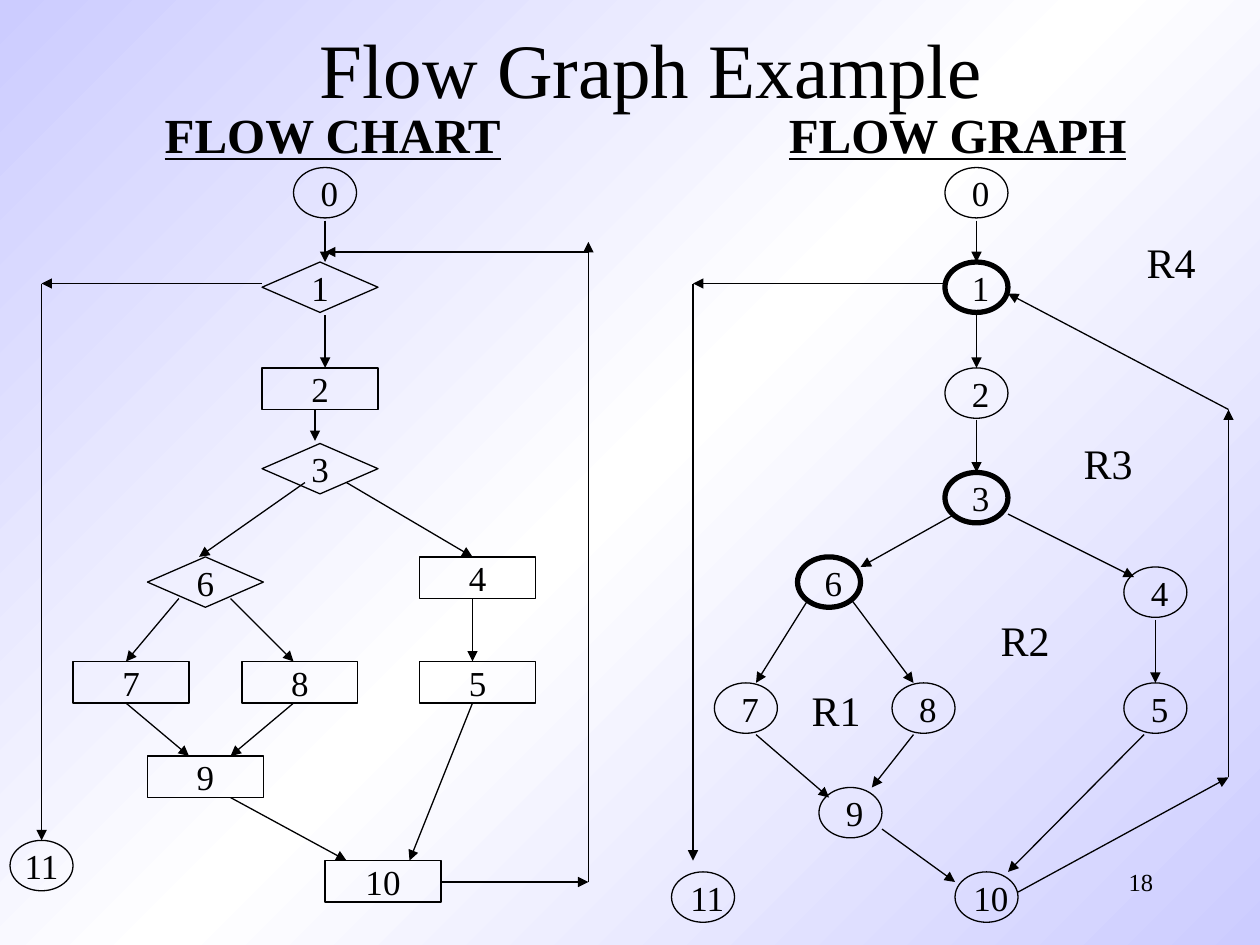
from copy import deepcopy
from dataclasses import dataclass
from itertools import pairwise

from pptx import Presentation
from pptx.dml.color import RGBColor
from pptx.enum.shapes import MSO_CONNECTOR as Connector, MSO_SHAPE as Shape
from pptx.enum.text import MSO_ANCHOR as Anchor, MSO_AUTO_SIZE as AutoSize, PP_ALIGN as Align
from pptx.oxml.ns import qn
from pptx.oxml.xmlchemy import OxmlElement
from pptx.util import Inches, Pt


@dataclass(frozen=True)
class Theme:
    font: str = "Times New Roman"
    ink: RGBColor = RGBColor(0, 0, 0)
    edge: RGBColor = RGBColor(0xCC, 0xCC, 0xFF)
    middle: RGBColor = RGBColor(0xFF, 0xFF, 0xFF)
    title: int = 44
    heading: int = 28
    region: int = 24
    node: int = 20
    page_number: int = 14
    thin: float = 0.75
    thick: float = 3


DECISION = (Shape.FLOWCHART_DECISION, 0.92, 0.4)
PROCESS = (Shape.RECTANGLE, 0.92, 0.33)
CIRCLE = (Shape.OVAL, 0.5, 0.4)

# Nodes: label, kind, left, top
CHART_NODES = [
    (" 0", CIRCLE, 2.33, 1.33),
    ("1", DECISION, 2.08, 2.08),
    ("2", PROCESS, 2.08, 2.92),
    ("3", DECISION, 2.08, 3.52),
    ("4", PROCESS, 3.33, 4.42),
    ("5", PROCESS, 3.33, 5.25),
    ("6", DECISION, 1.17, 4.42),
    ("7", PROCESS, 0.58, 5.25),
    ("8", PROCESS, 1.92, 5.25),
    ("9", PROCESS, 1.17, 6),
    ("10", PROCESS, 2.58, 6.83),
    ("11", CIRCLE, 0.08, 6.67),
]

# Graph nodes: left and top of nodes 0 to 11
GRAPH_NODES = [
    (7.5, 1.33), (7.5, 2.08), (7.5, 2.92), (7.5, 3.75), (8.92, 4.5), (8.92, 5.42),
    (6.33, 4.42), (5.67, 5.42), (7.08, 5.42), (6.5, 6.25), (7.58, 6.92), (5.33, 6.92),
]
PREDICATE_NODES = {1, 3, 6}

# Each route has an arrowhead at the end of every leg
CHART_ROUTES = [
    [(2.58, 1.75), (2.58, 2.08)],
    [(2.58, 2.5), (2.58, 2.92)],
    [(2.5, 3.25), (2.5, 3.5)],
    [(2.42, 3.83), (1.58, 4.42)],
    [(2.75, 3.83), (3.75, 4.42)],
    [(3.75, 4.75), (3.75, 5.25)],
    [(1.42, 4.75), (1, 5.25)],
    [(1.83, 4.75), (2.33, 5.25)],
    [(1, 5.58), (1.5, 6)],
    [(2.33, 5.58), (1.83, 6)],
    [(1.83, 6.33), (2.75, 6.83)],
    [(3.75, 5.58), (3.25, 6.83)],
    [(2.08, 2.25), (0.33, 2.25), (0.33, 6.67)],
    [(3.5, 7), (4.67, 7), (4.67, 1.92)],
    [(4.67, 2), (2.58, 2)],
]
GRAPH_ROUTES = [
    [(7.75, 1.75), (7.75, 2.08)],
    [(7.75, 2.5), (7.75, 2.92)],
    [(7.75, 3.33), (7.75, 3.75)],
    [(7.58, 4.08), (6.83, 4.5)],
    [(8, 4.08), (9, 4.58)],
    [(6.42, 4.75), (6, 5.42)],
    [(6.75, 4.75), (7.25, 5.42)],
    [(6, 5.83), (6.58, 6.33)],
    [(7.25, 5.83), (6.92, 6.25)],
    [(7, 6.58), (7.58, 7)],
    [(9.08, 5.83), (8, 6.92)],
    [(9.17, 4.92), (9.17, 5.42)],
    [(7.5, 2.25), (5.5, 2.25), (5.5, 6.83)],
    [(8.08, 7.08), (9.75, 6.17), (9.75, 3.25), (8, 2.33)],
]

REGIONS = [("R1", 6.34, 5.38), ("R2", 7.84, 4.83), ("R3", 8.5, 3.42), ("R4", 9, 1.83)]
HEADINGS = [("FLOW CHART", 1.2), ("FLOW GRAPH", 6.16)]


class SlideBuilder:
    def __init__(self, slide, theme):
        self.slide = slide
        self.theme = theme

    def background(self):
        """Fill the slide with a diagonal gradient that is lightest in the middle."""
        fill = self.slide.background.fill
        fill.gradient()
        fill.gradient_angle = 315
        stop_list = next(self.slide.element.iter(qn("a:gsLst")))
        stop_list.append(deepcopy(stop_list[-1]))
        colors = (self.theme.edge, self.theme.middle, self.theme.edge)
        for stop, position, color in zip(fill.gradient_stops, (0, 0.5, 1), colors):
            stop.position = position
            stop.color.rgb = color

    def add_text(self, shape, text, size, align=Align.CENTER, strong=False):
        paragraph = shape.text_frame.paragraphs[0]
        paragraph.alignment = align
        run = paragraph.add_run()
        run.text = text
        font = run.font
        font.name = self.theme.font
        font.size = Pt(size)
        font.color.rgb = self.theme.ink
        if strong:
            font.bold = font.underline = True

    def title(self, text, left, top, width, height):
        shape = self.slide.shapes.title
        shape.left, shape.top = Inches(left), Inches(top)
        shape.width, shape.height = Inches(width), Inches(height)
        shape.text_frame.vertical_anchor = Anchor.MIDDLE
        self.add_text(shape, text, self.theme.title)

    def label(self, text, left, top, width, height, size, strong=False):
        """Add a text box that fits its single line."""
        shape = self.slide.shapes.add_textbox(
            Inches(left), Inches(top), Inches(width), Inches(height))
        shape.text_frame.word_wrap = False
        shape.text_frame.auto_size = AutoSize.SHAPE_TO_FIT_TEXT
        self.add_text(shape, text, size, strong=strong)

    def page_number(self, text, left, top, width, height):
        shape = self.slide.shapes.add_textbox(
            Inches(left), Inches(top), Inches(width), Inches(height))
        shape.text_frame.word_wrap = True
        self.add_text(shape, text, self.theme.page_number, Align.RIGHT)

    def node(self, text, kind, left, top, thick=False):
        preset, width, height = kind
        shape = self.slide.shapes.add_shape(
            preset, Inches(left), Inches(top), Inches(width), Inches(height))
        shape.shadow.inherit = False
        shape.fill.background()
        shape.line.color.rgb = self.theme.ink
        shape.line.width = Pt(self.theme.thick if thick else self.theme.thin)
        shape.text_frame.word_wrap = False
        shape.text_frame.vertical_anchor = Anchor.MIDDLE
        self.add_text(shape, text, self.theme.node)

    def route(self, points):
        for start, end in pairwise(points):
            self.arrow(start, end)

    def arrow(self, start, end):
        connector = self.slide.shapes.add_connector(
            Connector.STRAIGHT, *(Inches(value) for value in (*start, *end)))
        connector.line.color.rgb = self.theme.ink
        connector.line.width = Pt(self.theme.thin)
        head = OxmlElement("a:tailEnd")
        head.set("type", "triangle")
        properties = connector.element.spPr
        properties.find(qn("a:ln")).append(head)
        properties.append(OxmlElement("a:effectLst"))


def main():
    presentation = Presentation()
    presentation.slide_width, presentation.slide_height = Inches(10), Inches(7.5)
    title_only = presentation.slide_layouts[5]
    theme = Theme()
    builder = SlideBuilder(presentation.slides.add_slide(title_only), theme)

    builder.background()
    builder.page_number("18", 7.17, 6.83, 2.08, 0.5)
    builder.title("Flow Graph Example", 0.92, 0, 8.5, 1.08)
    for node in CHART_NODES:
        builder.node(*node)
    for number, (left, top) in enumerate(GRAPH_NODES):
        builder.node(f" {number}", CIRCLE, left, top, thick=number in PREDICATE_NODES)
    for points in CHART_ROUTES + GRAPH_ROUTES:
        builder.route(points)
    for text, left, top in REGIONS:
        builder.label(text, left, top, 0.59, 0.5, theme.region)
    for text, left in HEADINGS:
        builder.label(text, left, 0.78, 2.88, 0.57, theme.heading, strong=True)

    presentation.save("out.pptx")


if __name__ == "__main__":
    main()
